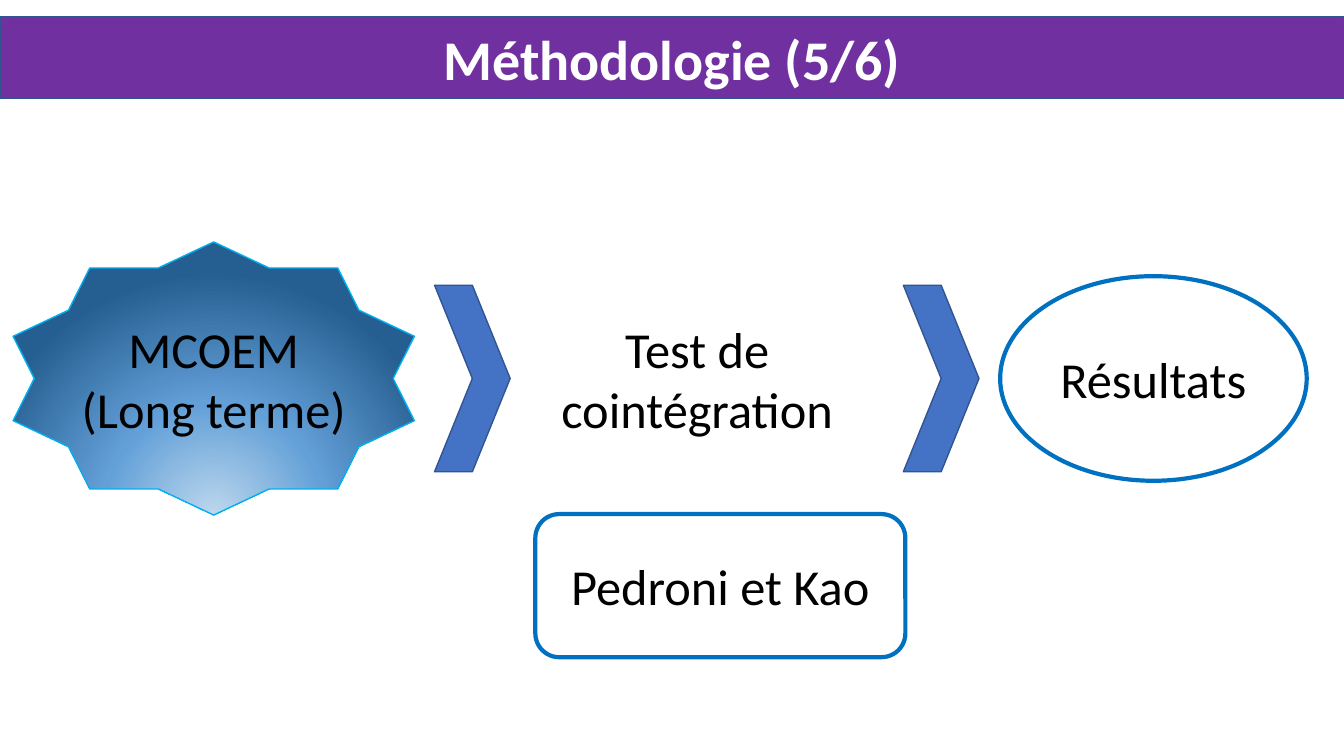
from lxml import etree
from pptx import Presentation
from pptx.dml.color import RGBColor
from pptx.enum.shapes import MSO_SHAPE
from pptx.enum.text import MSO_ANCHOR, MSO_AUTO_SIZE, PP_ALIGN
from pptx.oxml.ns import qn
from pptx.util import Inches, Pt

STAR, CHEVRON = MSO_SHAPE.STAR_10_POINT, MSO_SHAPE.CHEVRON
ELLIPSE, ROUNDED = MSO_SHAPE.OVAL, MSO_SHAPE.ROUNDED_RECTANGLE
MIDDLE, CENTER, NO_FIT = MSO_ANCHOR.MIDDLE, PP_ALIGN.CENTER, MSO_AUTO_SIZE.NONE

COLORS = {
    "banner": "7030A0", "edge": "325491", "title": "FFFFFF", "text": "000000",
    "chevron": "4472C4", "star_edge": "00B0F0", "outline": "0070C0",
}
STAR_STOPS = [(0, "BDD7EE"), (46, "63A0D7"), (100, "255E91")]
TITLE_FONT = {"name": "Calibri", "size": Pt(40), "bold": True}
STEP_FONT = {"name": "Calibri", "size": Pt(36), "bold": False}
FRAME = {"word_wrap": True, "auto_size": NO_FIT, "vertical_anchor": MIDDLE}


def rgb(key):
    return RGBColor.from_string(COLORS[key])


def set_all(target, values):
    for attribute, value in values.items():
        setattr(target, attribute, value)


def write(shape, text, font, color):
    frame = shape.text_frame
    set_all(frame, FRAME)
    paragraph = frame.paragraphs[0]
    paragraph.alignment = CENTER
    run = paragraph.add_run()
    run.text = text
    set_all(run.font, font)
    run.font.color.rgb = rgb(color)


def paint(shape, fill, edge, width):
    if fill:
        shape.fill.solid()
        shape.fill.fore_color.rgb = rgb(fill)
    else:
        shape.fill.background()
    shape.line.color.rgb = rgb(edge)
    shape.line.width = Pt(width)


def add_step(slide, preset, box, edge, width, fill=None, text=None):
    step = slide.shapes.add_shape(preset, *map(Inches, box))
    step.shadow.inherit = False
    paint(step, fill, edge, width)
    if text:
        write(step, text, STEP_FONT, "text")
    return step


def glow_from_below(shape):
    """Radial gradient centred under the shape."""
    shape.fill.gradient()
    gradient = shape.fill._xPr.find(qn("a:gradFill"))
    for child in list(gradient):
        gradient.remove(child)
    stops = etree.SubElement(gradient, qn("a:gsLst"))
    for position, color in STAR_STOPS:
        stop = etree.SubElement(stops, qn("a:gs"), pos=str(position * 1000))
        etree.SubElement(stop, qn("a:srgbClr"), val=color)
    radial = etree.SubElement(gradient, qn("a:path"), {"path": "circle"})
    etree.SubElement(radial, qn("a:fillToRect"),
                     l="50000", t="130000", r="50000", b="-30000")


def add_banner(slide, box, text):
    banner = slide.shapes.title
    set_all(banner, dict(zip(("left", "top", "width", "height"), map(Inches, box))))
    paint(banner, "banner", "edge", 1)
    write(banner, text, TITLE_FONT, "title")


def add_process(slide, left, top, height):
    """Method, test and results in a row, all centred on one axis."""
    axis = top + height / 2

    def centred(offset, width, part_height):
        return left + offset, axis - part_height / 2, width, part_height

    # Estimation method
    method = add_step(slide, STAR, centred(0, 3.98, height), "star_edge", 1,
                      text="MCOEM (Long terme)")
    glow_from_below(method)

    # Cointegration test
    test = slide.shapes.add_textbox(*map(Inches, centred(4.95, 3.67, 1.85)))
    write(test, "Test de cointégration", STEP_FONT, "text")

    # Chevrons between the steps
    for offset in (4.18, 8.83):
        add_step(slide, CHEVRON, centred(offset, 0.75, 1.85), "edge", 1, "chevron")

    # Results
    add_step(slide, ELLIPSE, centred(9.79, 3.04, 2.03), "outline", 3,
             text="Résultats")

    # Tests used, below the row
    add_step(slide, ROUNDED, (left + 5.18, top + 2.7, 3.67, 1.42), "outline", 3,
             text="Pedroni et Kao")


presentation = Presentation()
presentation.slide_width = Inches(13.33)
presentation.slide_height = Inches(7.5)
methodology = presentation.slides.add_slide(presentation.slide_layouts[5])
add_banner(methodology, (0, 0.17, 13.33, 0.81), "Méthodologie (5/6)")
add_process(methodology, 0.13, 2.4, 2.71)
presentation.save("out.pptx")
